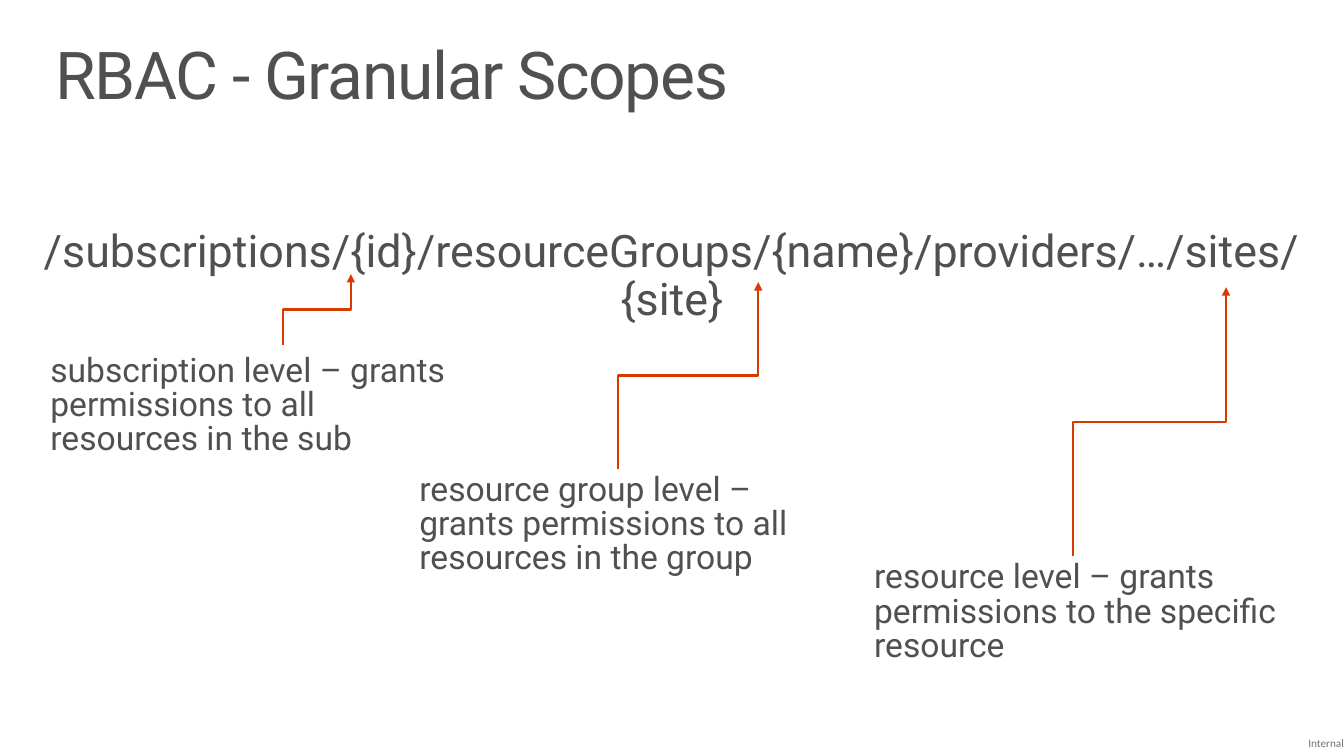
from pptx import Presentation
from pptx.dml.color import RGBColor
from pptx.enum.shapes import MSO_CONNECTOR
from pptx.enum.text import MSO_ANCHOR, PP_ALIGN
from pptx.oxml.ns import qn
from pptx.util import Inches, Pt
from lxml import etree

GREY, LIGHT_GREY, ORANGE = "505050", "737373", "D83B01"
LEVEL_SIZE = (4.33, 1.23)

# label text, label left and top, arrow start, arrow end
LEVELS = [
    ("subscription level – grants permissions to all resources in the sub",
     (0.3, 3.47), (2.81, 3.42), (3.48, 2.72)),
    ("resource group level – grants permissions to all resources in the group",
     (3.96, 4.65), (6.13, 4.65), (7.52, 2.8)),
    ("resource level – grants permissions to the specific resource",
     (8.47, 5.52), (10.64, 5.52), (12.16, 2.85)),
]


def rgb(color):
    return RGBColor.from_string(color)


def add_text(slide, box, text, size, insets, spacing=0.9, font="Roboto",
             color=GREY, align=PP_ALIGN.LEFT, anchor=MSO_ANCHOR.TOP, tracking=0):
    """Insets are left, top, right, bottom in inches; tracking is in points."""
    tf = slide.shapes.add_textbox(*map(Inches, box)).text_frame
    left, top, right, bottom = map(Inches, insets)
    frame_format = {"word_wrap": True, "vertical_anchor": anchor,
                    "margin_left": left, "margin_top": top,
                    "margin_right": right, "margin_bottom": bottom}
    for name, value in frame_format.items():
        setattr(tf, name, value)
    p = tf.paragraphs[0]
    p.alignment, p.line_spacing = align, spacing
    r = p.add_run()
    r.text = text
    for name, value in {"name": font, "size": Pt(size)}.items():
        setattr(r.font, name, value)
    r.font.color.rgb = rgb(color)
    if tracking:
        r._r.get_or_add_rPr().set("spc", str(tracking * 100))


def add_riser(slide, start, end):
    """Elbow arrow that goes up, right, then up: a quarter-turned connector."""
    (x1, y1), (x2, y2) = start, end
    cx, cy = (x1 + x2) / 2, (y1 + y2) / 2
    half_w, half_h = (y1 - y2) / 2, (x2 - x1) / 2
    corners = (cx + half_w, cy + half_h, cx - half_w, cy - half_h)
    riser = slide.shapes.add_connector(MSO_CONNECTOR.ELBOW, *map(Inches, corners))
    riser.line.color.rgb = rgb(ORANGE)
    riser.line.width = Pt(1.75)
    sp_pr = riser._element.spPr
    sp_pr.find(qn("a:xfrm")).set("rot", str(90 * 60000))
    etree.SubElement(sp_pr.find(qn("a:ln")), qn("a:tailEnd"), type="triangle")
    etree.SubElement(sp_pr, qn("a:effectLst"))


def main():
    prs = Presentation()
    prs.slide_width, prs.slide_height = Inches(13.33), Inches(7.5)
    slide = prs.slides.add_slide(prs.slide_layouts[6])

    wide_insets = (0.16, 0.1, 0.16, 0.1)
    add_text(slide, (12.72, 7.25, 0.61, 0.25), "Internal", 8, (0, 0, 0, 0),
             font="Calibri", color=LIGHT_GREY, align=PP_ALIGN.RIGHT,
             anchor=MSO_ANCHOR.MIDDLE)
    add_text(slide, (0.39, 0.32, 12.55, 0.98), "RBAC - Granular Scopes", 47.1,
             wide_insets, tracking=-1)
    add_text(slide, (0, 2.17, 13.33, 0.68),
             "/subscriptions/{id}/resourceGroups/{name}/providers/…/sites/{site}",
             32, wide_insets, align=PP_ALIGN.CENTER)

    for text, corner, start, end in LEVELS:
        add_text(slide, corner + LEVEL_SIZE, text, 24, (0.2, 0.05, 0.1, 0.05),
                 spacing=0.85)
        add_riser(slide, start, end)

    prs.save("out.pptx")


if __name__ == "__main__":
    main()
